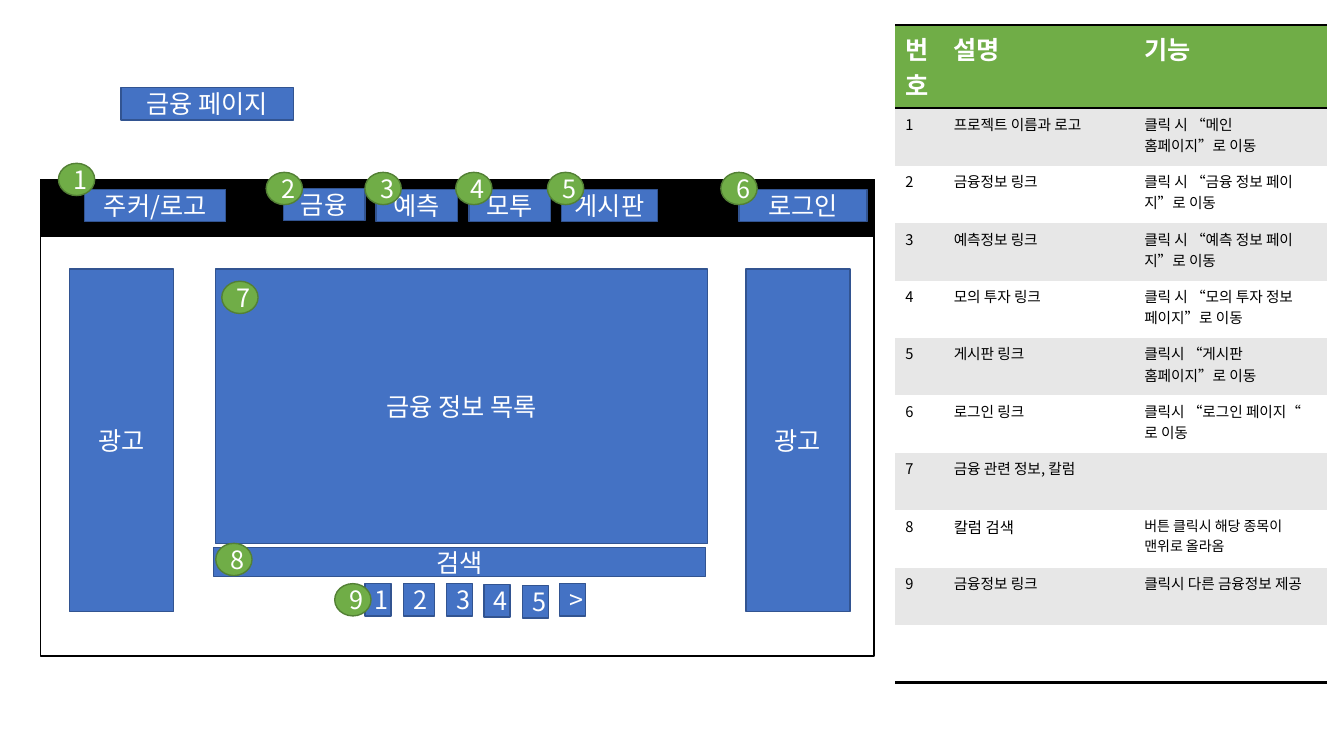
from lxml import etree
from pptx import Presentation
from pptx.dml.color import RGBColor
from pptx.enum import shapes, text
from pptx.oxml import ns
from pptx.util import Inches, Pt

FACE = "Noto Sans CJK KR"
BLUE, NAVY = "4472C4", "325491"
GREEN, MOSS = "70AD47", "538035"
BLACK, WHITE, GRAY = "000000", "FFFFFF", "E7E7E7"
RECT, OVAL = shapes.MSO_SHAPE.RECTANGLE, shapes.MSO_SHAPE.OVAL

MENU = [  # label, left, top, width
    ("주커/로고", 0.84, 1.88, 1.4), ("금융", 2.81, 1.87, 0.81),
    ("예측", 3.73, 1.88, 0.81), ("모투", 4.65, 1.88, 0.81),
    ("게시판", 5.57, 1.88, 0.95), ("로그인", 7.33, 1.88, 1.27),
]
PAGES = [  # label, left, top, width
    ("1", 3.62, 5.79, 0.26), ("2", 4, 5.79, 0.31), ("3", 4.43, 5.79, 0.26),
    ("4", 4.8, 5.8, 0.26), ("5", 5.18, 5.81, 0.26), (">", 5.55, 5.79, 0.26),
]
MARKS = [  # left, top of markers 1 to 9
    (0.58, 1.62), (2.64, 1.71), (3.62, 1.71), (4.52, 1.71), (5.43, 1.71),
    (7.15, 1.71), (2.2, 2.79), (2.14, 5.39), (3.32, 5.79),
]
HEAD = ("번호", "설명", "기능")
NOTES = [
    ("프로젝트 이름과 로고", "클릭 시 “메인 홈페이지”로 이동"),
    ("금융정보 링크", "클릭 시 “금융 정보 페이지”로 이동"),
    ("예측정보 링크", "클릭 시 “예측 정보 페이지”로 이동"),
    ("모의 투자 링크", "클릭 시 “모의 투자 정보 페이지”로 이동"),
    ("게시판 링크", "클릭시 “게시판 홈페이지”로 이동"),
    ("로그인 링크", "클릭시 “로그인 페이지“\n로 이동"),
    ("금융 관련 정보, 칼럼", ""),
    ("칼럼 검색", "버튼 클릭시 해당 종목이 맨위로 올라옴"),
    ("금융정보 링크", "클릭시 다른 금융정보 제공"),
]
SIZES = {(8, 1): 11, (8, 2): 10}  # cells that differ from 10.5 pt
PLAIN = "{2D5ABB26-0587-4C30-8999-92F81FD0307C}"  # table style without grid


def paint(fill, color):
    """Make a fill solid in a hex colour."""
    fill.solid()
    fill.fore_color.rgb = RGBColor.from_string(color)


def write(frame, words, size, color, bold=False, align=None):
    """Fill a text frame and set the font of its paragraphs."""
    frame.text = words
    for para in frame.paragraphs:
        font = para.font
        font.name, font.size, font.bold = FACE, Pt(size), bold
        paint(font.fill, color)
        east = etree.SubElement(font._element, ns.qn("a:ea"))
        east.set("typeface", FACE)
        if align is not None:
            para.alignment = align


def dress(shape, fill, edge, words=""):
    """Give a box its fill, outline and centred label."""
    paint(shape.fill, fill)
    paint(shape.line.fill, edge)
    shape.line.width = Pt(1)
    if words:
        frame = shape.text_frame
        frame.word_wrap = True
        frame.auto_size = text.MSO_AUTO_SIZE.NONE
        frame.vertical_anchor = text.MSO_ANCHOR.MIDDLE
        write(frame, words, 18, WHITE, align=text.PP_ALIGN.CENTER)


def box(slide, place, words="", fill=BLUE, edge=NAVY, kind=RECT):
    """Add a box at left, top, width, height."""
    shape = slide.shapes.add_shape(kind, *map(Inches, place))
    shape.shadow.inherit = False
    dress(shape, fill, edge, words)


def mark(slide, num):
    """Add the round marker of a numbered part."""
    box(slide, (*MARKS[num - 1], 0.36, 0.32), str(num), GREEN, MOSS, OVAL)


def rule(cell, *sides):
    """Draw black 2 pt borders; call before filling the cell."""
    props = cell._tc.get_or_add_tcPr()
    for side in sides:
        line = etree.SubElement(props, ns.qn("a:" + side), w=str(Pt(2)))
        solid = etree.SubElement(line, ns.qn("a:solidFill"))
        etree.SubElement(solid, ns.qn("a:srgbClr"), val=BLACK)


def legend(slide):
    """Add the table that explains the markers."""
    rows = [HEAD]
    rows += [(str(num), *note) for num, note in enumerate(NOTES, 1)]
    rows.append(("", "", ""))
    place = map(Inches, (8.88, 0.25, 4.28, 6.36))
    table = slide.shapes.add_table(len(rows), len(HEAD), *place).table
    table._tbl.tblPr.find(ns.qn("a:tableStyleId")).text = PLAIN
    table.horz_banding = False
    for col, width in zip(table.columns, (0.48, 1.89, 1.91)):
        col.width = Inches(width)
    for i, row in enumerate(rows):
        table.rows[i].height = Inches(0.57 if i else 0.66)
        for j, words in enumerate(row):
            cell = table.cell(i, j)
            if i == 0:
                rule(cell, "lnT", "lnB")
                paint(cell.fill, GREEN)
                write(cell.text_frame, words, 18, WHITE, bold=True)
                continue
            if i == len(rows) - 1:
                rule(cell, "lnB")
            paint(cell.fill, GRAY if i % 2 else WHITE)
            if words:
                write(cell.text_frame, words, SIZES.get((i, j), 10.5), BLACK)


def main():
    """Build the wireframe slide and its legend."""
    deck = Presentation()
    deck.slide_width, deck.slide_height = Inches(13.33), Inches(7.5)
    slide = deck.slides.add_slide(deck.slide_layouts[5])

    title = slide.shapes.title
    title.left, title.top = Inches(1.2), Inches(0.87)
    title.width, title.height = Inches(1.71), Inches(0.32)
    dress(title, BLUE, NAVY, "금융 페이지")

    box(slide, (0.4, 1.78, 8.27, 4.73), fill=WHITE, edge=BLACK)
    box(slide, (0.4, 1.78, 8.27, 0.57), fill=BLACK, edge=BLACK)
    for left in (0.69, 7.4):
        box(slide, (left, 2.67, 1.03, 3.4), "광고")
    box(slide, (2.14, 2.67, 4.88, 2.72), "금융 정보 목록")
    box(slide, (2.12, 5.43, 4.88, 0.29), "검색")
    for words, left, top, width in MENU + PAGES:
        box(slide, (left, top, width, 0.32), words)
    for num in range(1, len(MARKS) + 1):
        mark(slide, num)
    legend(slide)
    deck.save("out.pptx")


if __name__ == "__main__":
    main()
